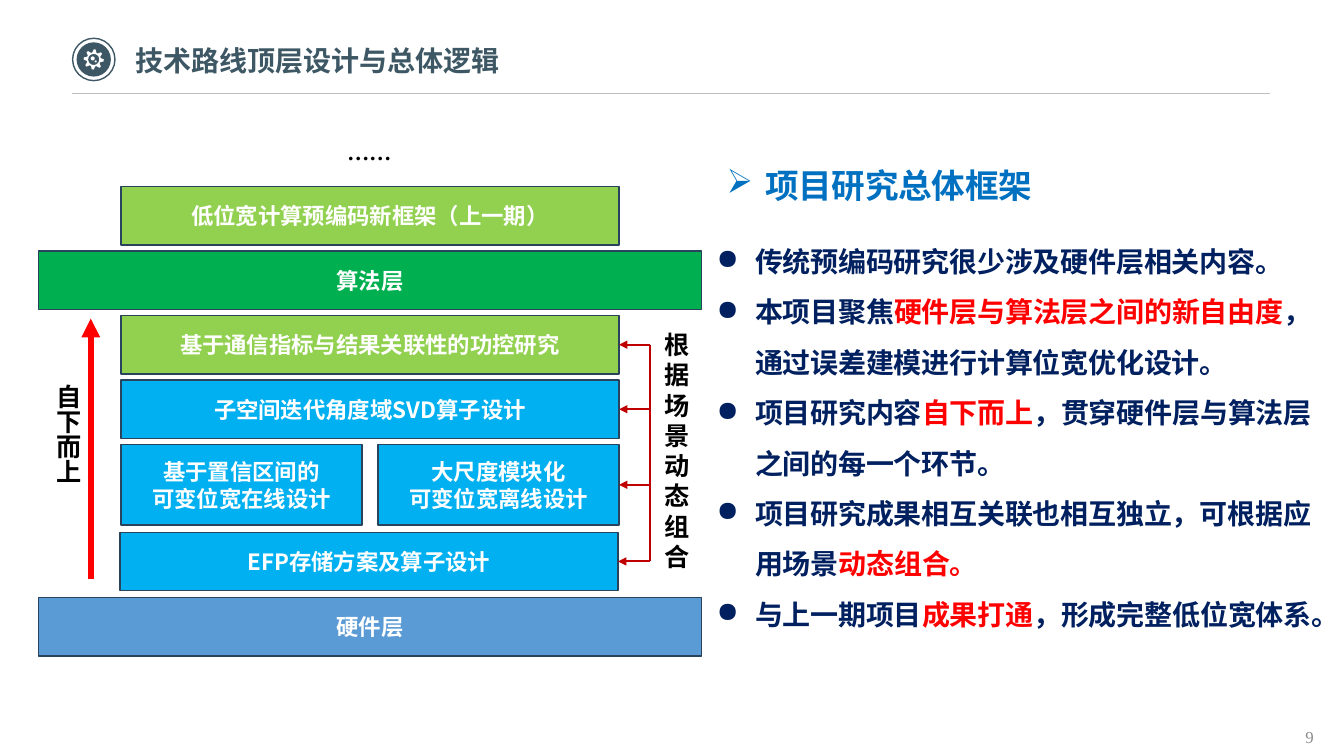
"""Builds the slide on the top-level design of the technical route."""
import math
from dataclasses import dataclass

from lxml import etree
from pptx import Presentation
from pptx.dml.color import RGBColor
from pptx.enum.shapes import MSO_CONNECTOR, MSO_SHAPE
from pptx.enum.text import MSO_ANCHOR, PP_ALIGN
from pptx.oxml.ns import qn
from pptx.util import Inches, Pt

STRAIGHT = MSO_CONNECTOR.STRAIGHT
RECTANGLE, OVAL = MSO_SHAPE.RECTANGLE, MSO_SHAPE.OVAL
TOP, MIDDLE = MSO_ANCHOR.TOP, MSO_ANCHOR.MIDDLE
LEFT, CENTER, JUSTIFY = PP_ALIGN.LEFT, PP_ALIGN.CENTER, PP_ALIGN.JUSTIFY
RIGHT_SIDE = 3
UNITS_PER_INCH = 1000


@dataclass(frozen=True)
class Theme:
    """Colours, fonts and type sizes of the slide."""
    sans: str = "Noto Sans CJK SC"
    serif: str = "Times New Roman"
    slate: str = "3D5864"
    rule: str = "BFBFBF"
    grey: str = "8C8C8C"
    white: str = "FFFFFF"
    black: str = "000000"
    heading: str = "0070C0"
    navy: str = "002060"
    red: str = "FF0000"
    dark_red: str = "C00000"
    outline: str = "28445D"
    steel: str = "5B9BD5"
    sky: str = "00B0F0"
    lime: str = "92D050"
    green: str = "00B050"
    number_size: int = 12
    box_size: int = 16
    label_size: int = 18
    body_size: int = 20
    heading_size: int = 24


class RouteSlide:
    """Draws styled elements on one slide."""

    def __init__(self, slide, theme):
        self.shapes = slide.shapes
        self.theme = theme

    def set_text(self, shape, paragraphs, size, color, align=LEFT, anchor=TOP,
                 font=None, bold=True, spacing=None, bullet=None, indent=0.38,
                 level=0, tracking=0):
        """Fills a shape with paragraphs made of (text, colour) runs."""
        frame = shape.text_frame
        frame.word_wrap = True
        frame.vertical_anchor = anchor
        font = font or self.theme.sans
        for index, parts in enumerate(paragraphs):
            paragraph = frame.paragraphs[0] if index == 0 else frame.add_paragraph()
            layout = {"alignment": align, "line_spacing": spacing, "level": level}
            for name, value in layout.items():
                setattr(paragraph, name, value)
            if bullet:
                properties = paragraph._p.get_or_add_pPr()
                properties.set("marL", str(Inches(indent)))
                properties.set("indent", str(-Inches(0.38)))
                etree.SubElement(properties, qn("a:buChar"), char=bullet)
            if isinstance(parts, str):
                parts = [(parts, color)]
            for text, run_color in parts:
                run = paragraph.add_run()
                run.text = text
                for name, value in {"size": Pt(size), "bold": bold, "name": font}.items():
                    setattr(run.font, name, value)
                run.font.color.rgb = RGBColor.from_string(run_color)
                properties = run._r.get_or_add_rPr()
                for name, value in {"lang": "zh-CN", "spc": str(tracking)}.items():
                    properties.set(name, value)
                etree.SubElement(properties, qn("a:ea"), typeface=font)

    def text(self, left, top, width, height, paragraphs, size, color, **style):
        """Adds a text box."""
        box = self.shapes.add_textbox(*map(Inches, (left, top, width, height)))
        self.set_text(box, paragraphs, size, color, **style)
        return box

    def paint(self, shape, fill=None, line=None):
        """Gives a shape its fill and outline without a shadow."""
        shape.shadow.inherit = False
        if fill:
            shape.fill.solid()
            shape.fill.fore_color.rgb = RGBColor.from_string(fill)
        else:
            shape.fill.background()
        if line:
            shape.line.color.rgb = RGBColor.from_string(line)
            shape.line.width = Pt(1)
        else:
            shape.line.fill.background()

    def layer(self, left, top, width, height, lines, fill):
        """Adds one labelled block of the stack."""
        block = self.shapes.add_shape(RECTANGLE, *map(Inches, (left, top, width, height)))
        self.paint(block, fill, self.theme.outline)
        self.set_text(block, lines, self.theme.box_size, self.theme.white,
                      align=CENTER, anchor=MIDDLE)
        return block

    def disc(self, center, radius, fill=None, line=None):
        """Adds a circle around a centre."""
        x, y = center
        circle = self.shapes.add_shape(
            OVAL, *map(Inches, (x - radius, y - radius, 2 * radius, 2 * radius)))
        self.paint(circle, fill, line)

    def gear(self, center, teeth=8):
        """Adds a toothed ring with two small dots inside."""
        x, y = center

        def ring(radii, dx=0, dy=0):
            step = 2 * math.pi / len(radii)
            return [((x + dx + r * math.cos(i * step)) * UNITS_PER_INCH,
                     (y + dy + r * math.sin(i * step)) * UNITS_PER_INCH)
                    for i, r in enumerate(radii)]

        contours = [ring([0.1, 0.1, 0.07, 0.07] * teeth), ring([0.055] * 24),
                    ring([0.02] * 16, -0.01, -0.01), ring([0.01] * 12, 0.02, 0.02)]
        builder = self.shapes.build_freeform(*contours[0][0], scale=Inches(1) / UNITS_PER_INCH)
        for index, contour in enumerate(contours):
            if index:
                builder.move_to(*contour[0])
            builder.add_line_segments(contour[1:], close=True)
        self.paint(builder.convert_to_shape(), self.theme.white)

    def line(self, start, end, color, width, arrow=False, target=None):
        """Adds a straight line, with an arrowhead or a joined block if asked."""
        link = self.shapes.add_connector(STRAIGHT, *map(Inches, (*start, *end)))
        if target is not None:
            link.end_connect(target, RIGHT_SIDE)
        link.line.color.rgb = RGBColor.from_string(color)
        link.line.width = Pt(width)
        properties = link._element.spPr
        if arrow:
            etree.SubElement(properties.find(qn("a:ln")), qn("a:tailEnd"), type="triangle")
        etree.SubElement(properties, qn("a:effectLst"))


def draw_header(page, theme):
    """Draws the icon, title, rule and slide number."""
    icon_center = (0.93, 0.59)
    page.disc(icon_center, 0.21, line=theme.slate)
    page.disc(icon_center, 0.17, fill=theme.slate)
    page.gear(icon_center)
    page.line((0.71, 0.93), (12.6, 0.93), theme.rule, 0.5)
    title = page.text(1.34, 0.38, 7.22, 0.44, ["技术路线顶层设计与总体逻辑"],
                      theme.body_size, theme.slate)
    title.text_frame.margin_left = 0
    page.text(12.85, 7.16, 0.4, 0.3, ["9"], theme.number_size, theme.grey,
              font=theme.serif, bold=False)


def draw_stack(page, theme):
    """Draws the layer stack with its arrows and side labels."""
    first_top, pitch, height = 1.85, 0.64, 0.58
    inner, outer, half = (1.2, 4.94), (0.38, 6.58), 2.39
    page.text(2.17, 1.39, 3, 0.72, ["……"], theme.box_size, theme.black, align=CENTER)
    upper_layers = [
        (inner, "低位宽计算预编码新框架（上一期）", theme.lime),
        (outer, "算法层", theme.green),
        (inner, "基于通信指标与结果关联性的功控研究", theme.lime),
        (inner, "子空间迭代角度域SVD算子设计", theme.sky),
    ]
    blocks = [page.layer(left, first_top + row * pitch, width, height, [label], fill)
              for row, ((left, width), label, fill) in enumerate(upper_layers)]
    design_top = first_top + len(upper_layers) * pitch
    page.layer(inner[0], design_top, half, 0.8,
               ["基于置信区间的", "可变位宽在线设计"], theme.sky)
    offline = page.layer(inner[0] + inner[1] - half, design_top, half, 0.8,
                         ["大尺度模块化", "可变位宽离线设计"], theme.sky)
    storage = page.layer(1.19, 5.28, inner[1], height, ["EFP存储方案及算子设计"], theme.sky)
    page.layer(outer[0], 5.93, outer[1], height, ["硬件层"], theme.steel)

    page.line((0.9, 5.74), (0.9, 3.16), theme.red, 4.5, arrow=True)
    upward = page.text(0.26, 3.71, 0.62, 1.57, ["自下而上"], theme.label_size,
                       theme.black, align=CENTER)
    upward.text_frame._txBody.bodyPr.set("vert", "eaVert")

    trunk = 6.45
    combined = [*blocks[2:], offline, storage]
    levels = [(block.top + block.height / 2) / Inches(1) for block in combined]
    for block, level in zip(combined, levels):
        page.line((trunk, level), (6.14, level), theme.dark_red, 1.5, arrow=True, target=block)
    page.line((trunk, levels[0]), (trunk, levels[-1]), theme.dark_red, 1.5)
    page.text(6.49, 3.22, 0.68, 2.52, ["根据场景", "动态组合"], theme.label_size, theme.black)


def draw_framework(page, theme):
    """Draws the heading and the bullet list on the right."""
    navy, red = theme.navy, theme.red
    points = [
        [("传统预编码研究很少涉及硬件层相关内容。", navy)],
        [("本项目聚焦", navy), ("硬件层与算法层之间的新自由度", red),
         ("，通过误差建模进行计算位宽优化设计。", navy)],
        [("项目研究内容", navy), ("自下而上", red),
         ("，贯穿硬件层与算法层之间的每一个环节。", navy)],
        [("项目研究成果相互关联也相互独立，可根据应用场景", navy), ("动态组合。", red)],
        [("与上一期项目", navy), ("成果打通", red), ("，形成完整低位宽体系。", navy)],
    ]
    page.text(7.11, 1.39, 3.46, 0.64, ["项目研究总体框架"], theme.heading_size, theme.heading,
              align=JUSTIFY, spacing=1.5, bullet="➢", tracking=-20)
    page.text(6.51, 2.21, 6.68, 4.08, points, theme.body_size, navy, spacing=1.5,
              bullet="●", indent=0.88, level=1, tracking=-20)


def main():
    """Builds and saves the presentation."""
    deck = Presentation()
    deck.slide_width, deck.slide_height = Inches(13.33), Inches(7.5)
    theme = Theme()
    page = RouteSlide(deck.slides.add_slide(deck.slide_layouts[6]), theme)
    for draw in (draw_header, draw_stack, draw_framework):
        draw(page, theme)
    deck.save("out.pptx")


if __name__ == "__main__":
    main()
